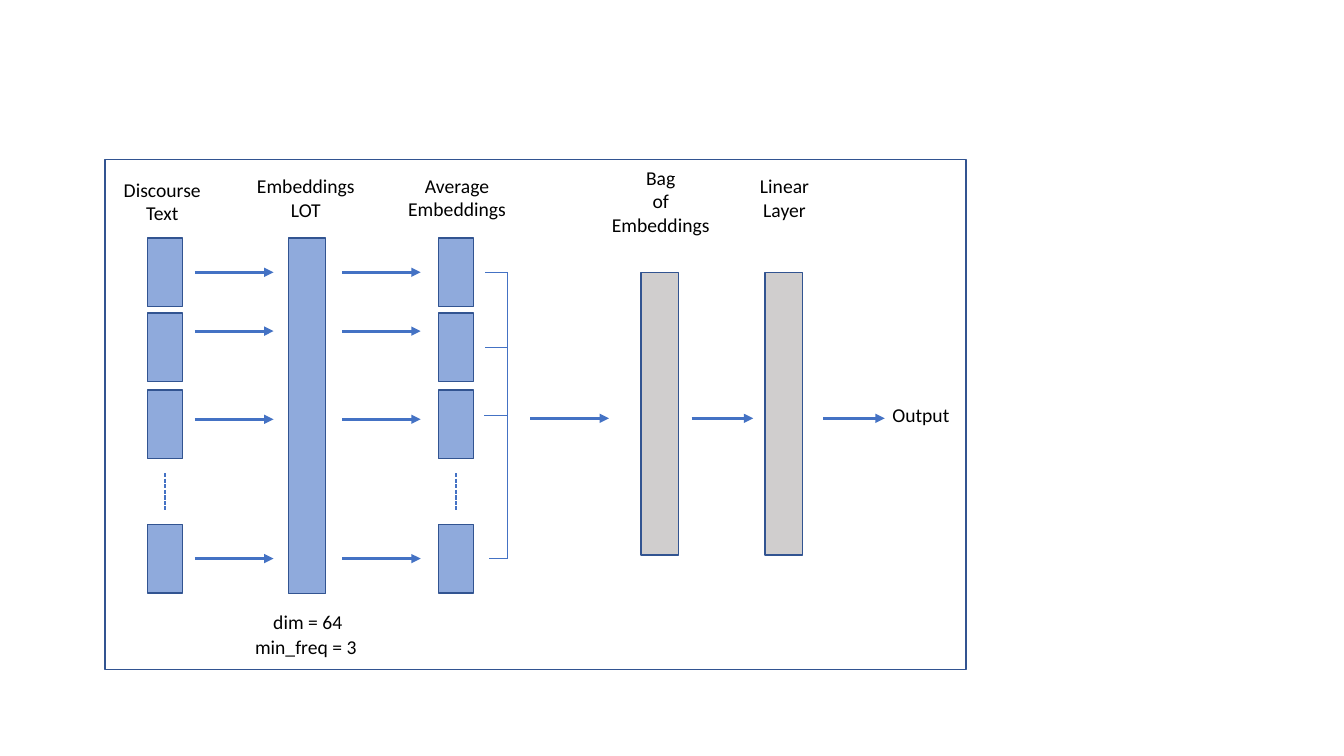
from dataclasses import dataclass

from lxml.etree import SubElement
from pptx import Presentation
from pptx.dml.color import RGBColor
from pptx.enum.dml import MSO_LINE
from pptx.enum.shapes import MSO_CONNECTOR, MSO_SHAPE
from pptx.enum.text import PP_ALIGN
from pptx.oxml.ns import qn
from pptx.util import Pt


@dataclass(frozen=True)
class Theme:
    """Colours, font, type size and line widths of the slide."""
    paper: RGBColor = RGBColor.from_string("FFFFFF")
    ink: RGBColor = RGBColor.from_string("000000")
    text_layer: RGBColor = RGBColor.from_string("8FAADC")
    model_layer: RGBColor = RGBColor.from_string("D0CECE")
    outline: RGBColor = RGBColor.from_string("325491")
    flow: RGBColor = RGBColor.from_string("4472C4")
    font: str = "Calibri"
    size: float = 14
    thin: float = 0.5
    normal: float = 1
    thick: float = 2.25


THEME = Theme()

CELL_W, CELL_H = 25.2, 49
CELL_TOPS = (170, 223.5, 278.7, 374.5)
ARROW_ROWS = (194.5, 236.5, 299.5, 399)
BAR_W = 26.6
FLOW_Y = 298.8
BRACKET_X = 362.3
BRACKET_TICKS = ((346.5, 194.5), (346.5, 248.4), (346, 296.6), (349.2, 399))


def add_box(s, x, y, w, h, fill):
    """Add an outlined rectangle."""
    sp = s.shapes.add_shape(MSO_SHAPE.RECTANGLE, Pt(x), Pt(y), Pt(w), Pt(h))
    sp.shadow.inherit = False
    sp.fill.solid()
    sp.fill.fore_color.rgb = fill
    sp.line.color.rgb = THEME.outline
    sp.line.width = Pt(THEME.normal)


def add_line(s, x1, y1, x2, y2, width, dash=None, arrow=False):
    """Add a straight line, dashed or with an arrowhead on request."""
    cx = s.shapes.add_connector(MSO_CONNECTOR.STRAIGHT, Pt(x1), Pt(y1), Pt(x2), Pt(y2))
    cx.line.color.rgb = THEME.flow
    cx.line.width = Pt(width)
    if dash:
        cx.line.dash_style = dash
    if arrow:
        SubElement(cx.line._get_or_add_ln(), qn("a:tailEnd"), type="triangle")
    SubElement(cx._element.spPr, qn("a:effectLst"))


def add_arrow(s, x1, x2, y):
    """Add a horizontal arrow pointing right."""
    add_line(s, x1, y, x2, y, THEME.thick, arrow=True)


def add_label(s, x, y, w, h, *lines):
    """Add a centred label with one paragraph per line."""
    tf = s.shapes.add_textbox(Pt(x), Pt(y), Pt(w), Pt(h)).text_frame
    tf.word_wrap = True
    for i, line in enumerate(lines):
        p = tf.add_paragraph() if i else tf.paragraphs[0]
        p.alignment = PP_ALIGN.CENTER
        r = p.add_run()
        r.text = line
        r.font.name = THEME.font
        r.font.size = Pt(THEME.size)
        r.font.color.rgb = THEME.ink


def add_cell_column(s, x):
    """Add a column of text cells with a dashed line for the omitted ones."""
    for top in CELL_TOPS:
        add_box(s, x, top, CELL_W, CELL_H, THEME.text_layer)
    middle = x + CELL_W / 2
    add_line(s, middle, 338, middle, 364.5, THEME.normal, dash=MSO_LINE.SQUARE_DOT)


def add_bracket(s):
    """Add the bracket that gathers the averaged embeddings."""
    add_line(s, BRACKET_X, BRACKET_TICKS[0][1], BRACKET_X, BRACKET_TICKS[-1][1], THEME.thin)
    for x, y in BRACKET_TICKS:
        add_line(s, BRACKET_X, y, x, y, THEME.thin)


def main():
    """Build the bag-of-embeddings diagram."""
    prs = Presentation()
    prs.slide_width, prs.slide_height = Pt(960), Pt(540)
    s = prs.slides.add_slide(prs.slide_layouts[6])

    add_box(s, 75, 114, 615, 364.3, THEME.paper)
    for x in (105.2, 313.2):
        add_cell_column(s, x)
    add_box(s, 206, 170, BAR_W, 254, THEME.text_layer)
    for x in (458, 546.5):
        add_box(s, x, 194.5, BAR_W, 202, THEME.model_layer)

    for y in ARROW_ROWS:
        for x in (139.2, 244.3):
            add_arrow(s, x, x + 56.2, y)
    add_bracket(s)
    for x1, x2 in ((378.7, 435), (494, 538), (588, 632)):
        add_arrow(s, x1, x2, FLOW_Y)

    add_label(s, 77, 123.4, 77.8, 41, "Discourse Text")
    add_label(s, 172.8, 121, 91.4, 41, "Embeddings", "LOT")
    add_label(s, 280.8, 120.5, 91.4, 41, "Average Embeddings")
    add_label(s, 414, 114.8, 116, 58, "Bag", "of", "Embeddings")
    add_label(s, 502.4, 121, 116, 41, "Linear", "Layer")
    add_label(s, 599.8, 284.3, 116, 24.3, "Output")
    add_label(s, 174.2, 432.2, 91.4, 24.3, "dim = 64")
    add_label(s, 172.8, 450.2, 91.4, 24.3, "min_freq = 3")

    prs.save("out.pptx")


main()
